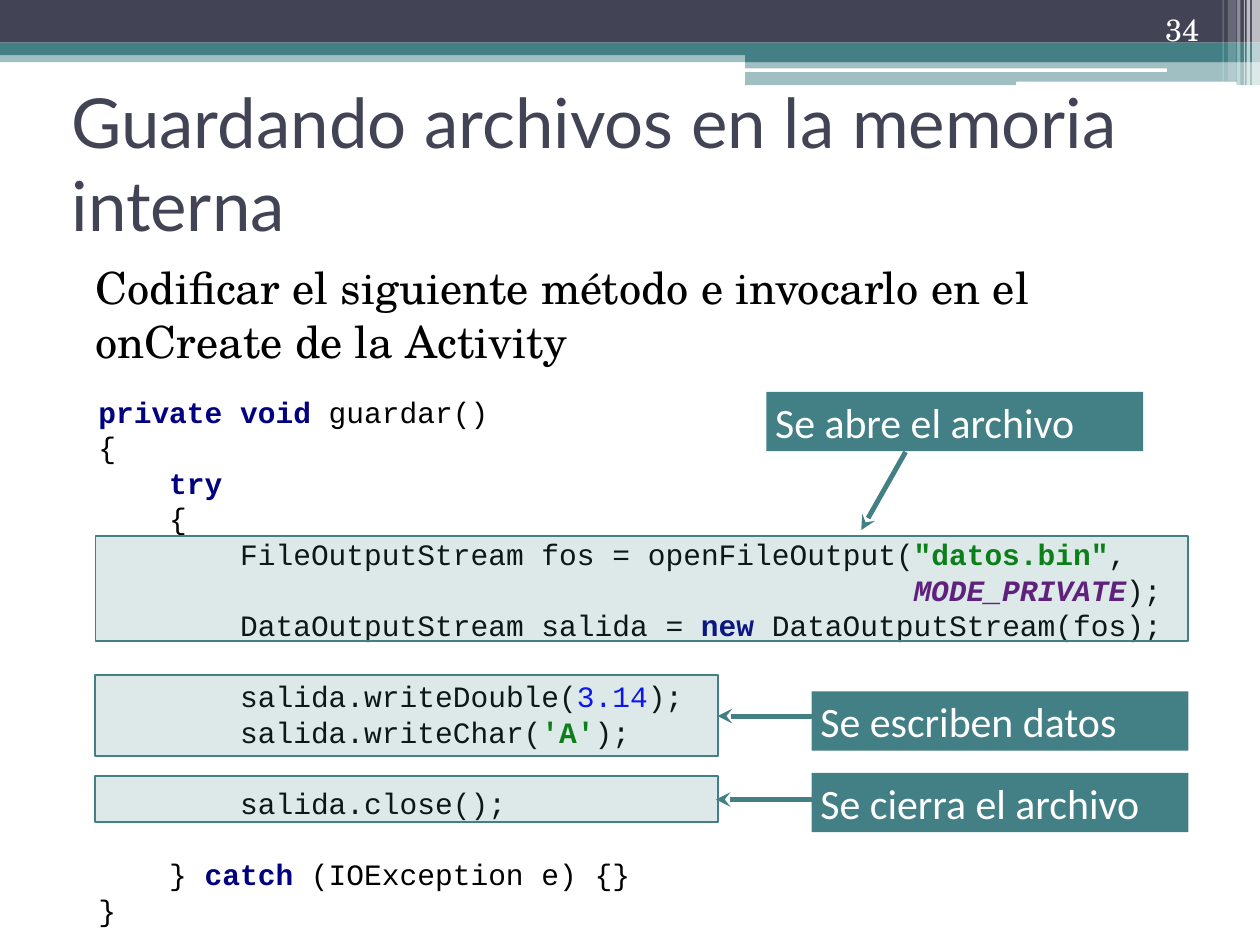
import pptx
import pptx.util
import pptx.dml.color
import pptx.enum.shapes
import pptx.enum.text
import lxml.etree
from dataclasses import dataclass

Cm = pptx.util.Cm
Pt = pptx.util.Pt
Shape = pptx.enum.shapes.MSO_SHAPE
Anchor = pptx.enum.text.MSO_ANCHOR
Align = pptx.enum.text.PP_ALIGN


@dataclass(frozen=True)
class Theme:
    dark: str = "424456"
    teal: str = "438086"
    white: str = "FFFFFF"
    black: str = "000000"
    keyword: str = "000080"
    string: str = "008000"
    number: str = "0000FF"
    constant: str = "660E7A"
    title_font: str = "Lato"
    body_font: str = "TeX Gyre Schola"
    code_font: str = "Courier New"
    label_font: str = "Calibri"
    title_size: int = 56
    body_size: int = 36
    label_size: int = 34
    page_size: int = 25
    code_size: int = 24
    code_pitch: float = 28.9


theme = Theme()
PAGE = (36.12, 27.08)
TITLE = "Guardando archivos en la memoria interna"
BODY = "Codificar el siguiente método e invocarlo en el onCreate de la Activity"
PAGE_NUMBER = "34"

BANDS = [
    (0, 1.45, 36.12, 0.33, theme.teal, 50),
    (0, 0, 36.12, 1.22, theme.dark, 100),
    (0, 1.22, 36.12, 0.36, theme.teal, 100),
    (21.36, 1.42, 14.76, 0.36, theme.teal, 100),
    (21.36, 1.73, 14.76, 0.71, theme.teal, 50),
]
RULES = [(21.36, 1.96, 12.09, 0.1), (29.13, 2.34, 6.32, 0.15)]
STRIPES = [
    (35.89, 0.23, 2.46, 65),
    (35.74, 0.1, 2.46, 65),
    (35.66, 0.03, 2.46, 60),
    (35.46, 0.1, 2.46, 40),
    (35.2, 0.23, 2.31, 20),
    (35.05, 0.03, 2.31, 30),
]

KEYWORD = dict(color=theme.keyword, bold=True)
STRING = dict(color=theme.string, bold=True)
NUMBER = dict(color=theme.number)
CONSTANT = dict(color=theme.constant, bold=True, italic=True)
PLAIN = {}
CODE = [
    (0, 0, [("private void ", KEYWORD), ("guardar()", PLAIN)]),
    (0, 0, [("{", PLAIN)]),
    (4, 0, [("try", KEYWORD)]),
    (4, 0, [("{", PLAIN)]),
    (8, 0, [("FileOutputStream fos = openFileOutput(", PLAIN), ('"datos.bin"', STRING), (",", PLAIN)]),
    (46, 0, [("MODE_PRIVATE", CONSTANT), (");", PLAIN)]),
    (8, 0, [("DataOutputStream salida = ", PLAIN), ("new ", KEYWORD), ("DataOutputStream(fos);", PLAIN)]),
    (8, 1, [("salida.writeDouble(", PLAIN), ("3.14", NUMBER), (");", PLAIN)]),
    (8, 0, [("salida.writeChar(", PLAIN), ("'A'", STRING), (");", PLAIN)]),
    (8, 1, [("salida.close();", PLAIN)]),
    (4, 1, [("} ", PLAIN), ("catch ", KEYWORD), ("(IOException e) {}", PLAIN)]),
    (0, 0, [("}", PLAIN)]),
]
CALLOUT_SIZE = (10.8, 1.7)
STEPS = [
    ("Se abre el archivo", (21.97, 11.23), (25.96, 12.95, 24.69, 15.19), (2.74, 15.37, 31.32, 3)),
    ("Se escriben datos", (23.27, 19.81), (24.84, 20.52, 20.57, 20.52), (2.72, 19.35, 17.86, 2.31)),
    ("Se cierra el archivo", (23.27, 22.15), (24.79, 22.91, 20.52, 22.91), (2.72, 22.25, 17.86, 1.3)),
]

deck = pptx.Presentation()
deck.slide_width, deck.slide_height = map(Cm, PAGE)
page = deck.slides.add_slide(deck.slide_layouts[6])


def rgb(color):
    return pptx.dml.color.RGBColor.from_string(color)


def add_child(parent, tag, **attributes):
    return lxml.etree.SubElement(parent, pptx.oxml.ns.qn(tag), attributes)


def add_block(area, color, opacity=100, kind=Shape.RECTANGLE, outline=None):
    block = page.shapes.add_shape(kind, *map(Cm, area))
    block.shadow.inherit = False
    block.fill.solid()
    block.fill.fore_color.rgb = rgb(color)
    if opacity < 100:
        tint = block.fill._xPr.find(".//" + pptx.oxml.ns.qn("a:srgbClr"))
        add_child(tint, "a:alpha", val=str(opacity * 1000))
    if outline:
        block.line.color.rgb = rgb(outline)
        block.line.width = Pt(1.5)
    else:
        block.line.fill.background()
    return block


def add_box(area):
    return page.shapes.add_textbox(*map(Cm, area))


def set_frame(box, anchor=Anchor.TOP, margins=(0.25, 0.13, 0.25, 0.13)):
    frame = box.text_frame
    frame.word_wrap = True
    frame.vertical_anchor = anchor
    frame.margin_left, frame.margin_top, frame.margin_right, frame.margin_bottom = map(Cm, margins)
    return frame.paragraphs[0]


def write(para, text, font, size, color=theme.black, bold=False, italic=False, align=Align.LEFT, indent=0):
    para.alignment = align
    properties = para._p.get_or_add_pPr()
    properties.set("marL", str(int(indent)))
    properties.set("indent", "0")
    span = para.add_run()
    span.text = text
    span.font.name = font
    span.font.size = Pt(size)
    span.font.color.rgb = rgb(color)
    span.font.bold = bold
    span.font.italic = italic


def add_arrow(ends):
    arrow = page.shapes.add_connector(pptx.enum.shapes.MSO_CONNECTOR.STRAIGHT, *map(Cm, ends))
    arrow.line.color.rgb = rgb(theme.teal)
    arrow.line.width = Pt(4)
    add_child(arrow.line._get_or_add_ln(), "a:tailEnd", type="stealth")
    add_child(arrow._element.spPr, "a:effectLst")


def draw_frame():
    for *area, color, opacity in BANDS:
        add_block(area, color, opacity)
    for area in RULES:
        add_block(area, theme.white, kind=Shape.ROUNDED_RECTANGLE)
    for left, width, height, opacity in STRIPES:
        add_block((left, 0, width, height), theme.white, opacity)


def draw_headings():
    para = set_frame(add_box((1.8, 2.54, 32.51, 4.22)), Anchor.MIDDLE)
    write(para, TITLE, theme.title_font, theme.title_size, color=theme.dark)
    para = set_frame(add_box((2.06, 7.34, 32.51, 2.79)))
    write(para, BODY, theme.body_font, theme.body_size, indent=Cm(0.43))
    para = set_frame(add_box((26.31, 0.1, 8.43, 1.45)), Anchor.BOTTOM, (0.36, 0.18, 0.36, 0.18))
    write(para, PAGE_NUMBER, theme.body_font, theme.page_size, color=theme.white, align=Align.RIGHT)


def draw_code():
    box = add_block((2.57, 11.1, 31.01, 15.65), theme.white)
    para = set_frame(box, Anchor.MIDDLE, (0.25, 0.13, 0, 0.13))
    column = Pt(theme.code_size * 0.6)
    for number, (depth, gap, spans) in enumerate(CODE):
        if number:
            para = box.text_frame.add_paragraph()
        para.line_spacing = Pt(theme.code_pitch)
        para.space_before = Pt(gap * theme.code_pitch)
        for text, style in spans:
            write(para, text, theme.code_font, theme.code_size, indent=depth * column, **style)


def draw_steps():
    for label, corner, ends, panel in STEPS:
        add_arrow(ends)
        add_block(panel, theme.teal, 18, outline=theme.teal)
        callout = add_block(corner + CALLOUT_SIZE, theme.teal)
        write(set_frame(callout), label, theme.label_font, theme.label_size, color=theme.white)


def main():
    draw_frame()
    draw_headings()
    draw_code()
    draw_steps()
    deck.save("out.pptx")


if __name__ == "__main__":
    main()
